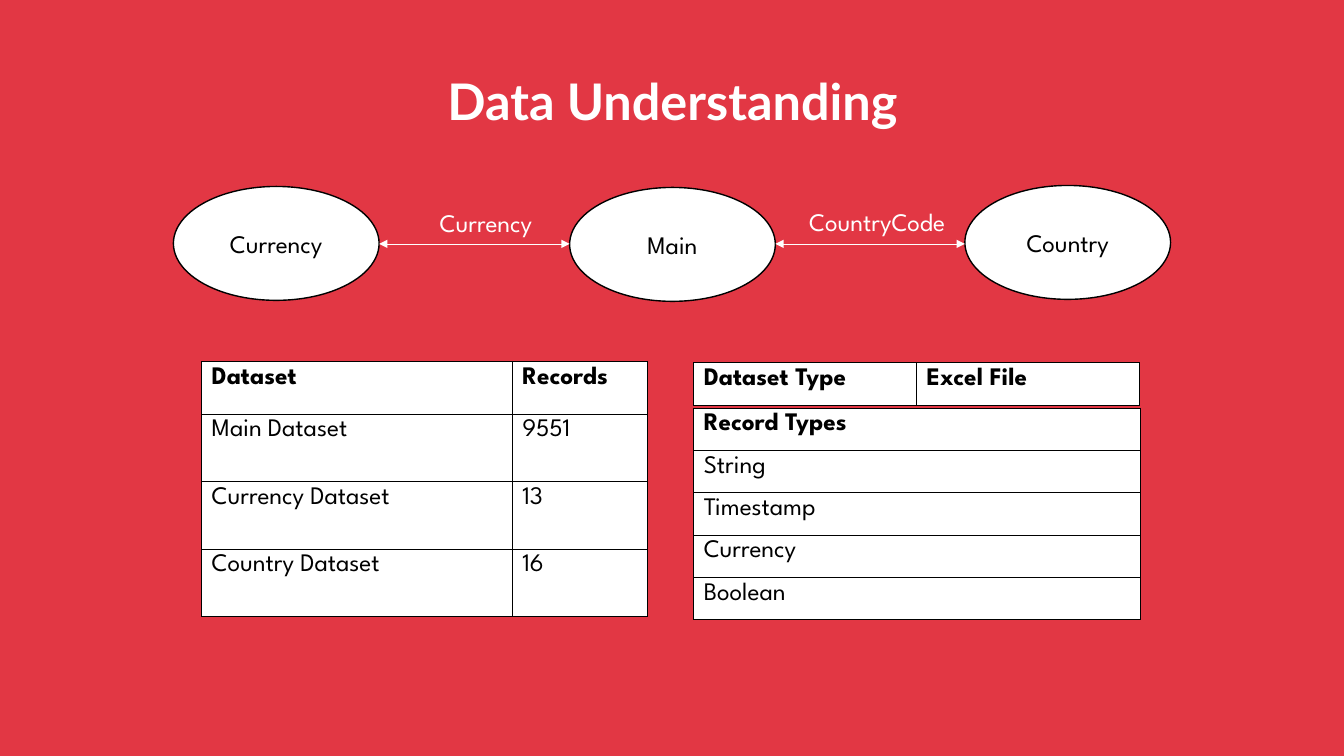
from lxml.etree import SubElement
from pptx import Presentation
from pptx.dml.color import RGBColor
from pptx.enum.shapes import MSO_CONNECTOR, MSO_SHAPE
from pptx.enum.text import MSO_ANCHOR, MSO_AUTO_SIZE, PP_ALIGN
from pptx.oxml.ns import qn
from pptx.util import Inches, Pt

RED, WHITE, BLACK = "E23744", "FFFFFF", "000000"


def paint(target, colour):
    target.solid()
    target.fore_color.rgb = RGBColor.from_string(colour)


def apply(target, values):
    for name, value in values.items():
        setattr(target, name, value)


class SlideBuilder:
    body_font = {"name": "League Spartan", "size": Pt(18), "bold": False}
    title_font = {"name": "Lato", "size": Pt(36), "bold": True}
    grow = {"word_wrap": True, "auto_size": MSO_AUTO_SIZE.SHAPE_TO_FIT_TEXT}

    def __init__(self, deck):
        self.page = deck.slides.add_slide(deck.slide_layouts[5])
        self.shapes = self.page.shapes
        paint(self.page.background.fill, RED)

    def add_text(self, frame, text, colour, font, align=PP_ALIGN.CENTER):
        para = frame.paragraphs[0]
        para.alignment = align
        span = para.add_run()
        span.text = text
        apply(span.font, font)
        paint(span.font.fill, colour)

    def title(self, text, left, top, width, height):
        box = self.shapes.title
        apply(box, {"left": Inches(left), "top": Inches(top),
                    "width": Inches(width), "height": Inches(height)})
        apply(box.text_frame, {**self.grow, "vertical_anchor": MSO_ANCHOR.TOP})
        self.add_text(box.text_frame, text, WHITE, self.title_font)

    def ellipse(self, text, left, top, width=2.04, height=1.13):
        oval = self.shapes.add_shape(MSO_SHAPE.OVAL, Inches(left), Inches(top),
                                     Inches(width), Inches(height))
        oval.shadow.inherit = False
        paint(oval.fill, WHITE)
        paint(oval.line.fill, BLACK)
        oval.line.width = Pt(1)
        oval.text_frame.vertical_anchor = MSO_ANCHOR.MIDDLE
        self.add_text(oval.text_frame, text, BLACK, self.body_font)

    def label(self, text, left, top, width, height=0.4):
        box = self.shapes.add_textbox(Inches(left), Inches(top),
                                      Inches(width), Inches(height))
        apply(box.text_frame, self.grow)
        self.add_text(box.text_frame, text, WHITE, self.body_font)

    def double_arrow(self, start, end, y):
        arrow = self.shapes.add_connector(MSO_CONNECTOR.STRAIGHT, Inches(start),
                                          Inches(y), Inches(end), Inches(y))
        paint(arrow.line.fill, WHITE)
        arrow.line.width = Pt(0.5)
        outline = arrow.line._get_or_add_ln()
        for end_name in ("a:headEnd", "a:tailEnd"):
            SubElement(outline, qn(end_name), type="triangle")
        SubElement(arrow._element.spPr, qn("a:effectLst"))

    def border(self, cell):
        properties = cell._tc.get_or_add_tcPr()
        for side in ("a:lnL", "a:lnR", "a:lnT", "a:lnB"):
            edge = SubElement(properties, qn(side), w=str(Pt(1)))
            fill = SubElement(edge, qn("a:solidFill"))
            SubElement(fill, qn("a:srgbClr"), val=BLACK)

    def table(self, rows, left, top, widths, heights):
        frame = self.shapes.add_table(len(rows), len(widths), Inches(left), Inches(top),
                                      Inches(sum(widths)), Inches(sum(heights)))
        grid = frame.table
        apply(grid, {"first_row": False, "horz_banding": False})
        for column, width in zip(grid.columns, widths):
            column.width = Inches(width)
        for index, (row, height) in enumerate(zip(grid.rows, heights)):
            row.height = Inches(height)
            font = {**self.body_font, "bold": index == 0}
            for cell, text in zip(row.cells, rows[index]):
                self.border(cell)
                paint(cell.fill, WHITE)
                self.add_text(cell.text_frame, text, BLACK, font, PP_ALIGN.LEFT)


def main():
    deck = Presentation()
    apply(deck, {"slide_width": Inches(13.33), "slide_height": Inches(7.5)})
    slide = SlideBuilder(deck)
    slide.title("Data Understanding", 4.11, 0.65, 5.12, 0.71)

    slide.ellipse("Currency", 1.72, 1.85)
    slide.ellipse("Main", 5.65, 1.86)
    slide.ellipse("Country", 9.57, 1.84)
    slide.double_arrow(3.76, 5.65, 2.42)
    slide.double_arrow(7.69, 9.57, 2.42)
    slide.label("Currency", 4.13, 2.01, 1.38)
    slide.label("CountryCode", 7.83, 2, 1.74)

    datasets = [("Dataset", "Records"), ("Main Dataset", "9551"),
                ("Currency Dataset", "13"), ("Country Dataset", "16")]
    slide.table(datasets, 2, 3.59, [3.08, 1.34], [0.52] + [0.67] * 3)
    slide.table([("Dataset Type", "Excel File")], 6.88, 3.6, [2.21] * 2, [0.42])
    record_types = ["Record Types", "String", "Timestamp", "Currency", "Boolean"]
    slide.table([(name,) for name in record_types], 6.88, 4.05, [4.43], [0.42] * 5)
    deck.save("out.pptx")


if __name__ == "__main__":
    main()
